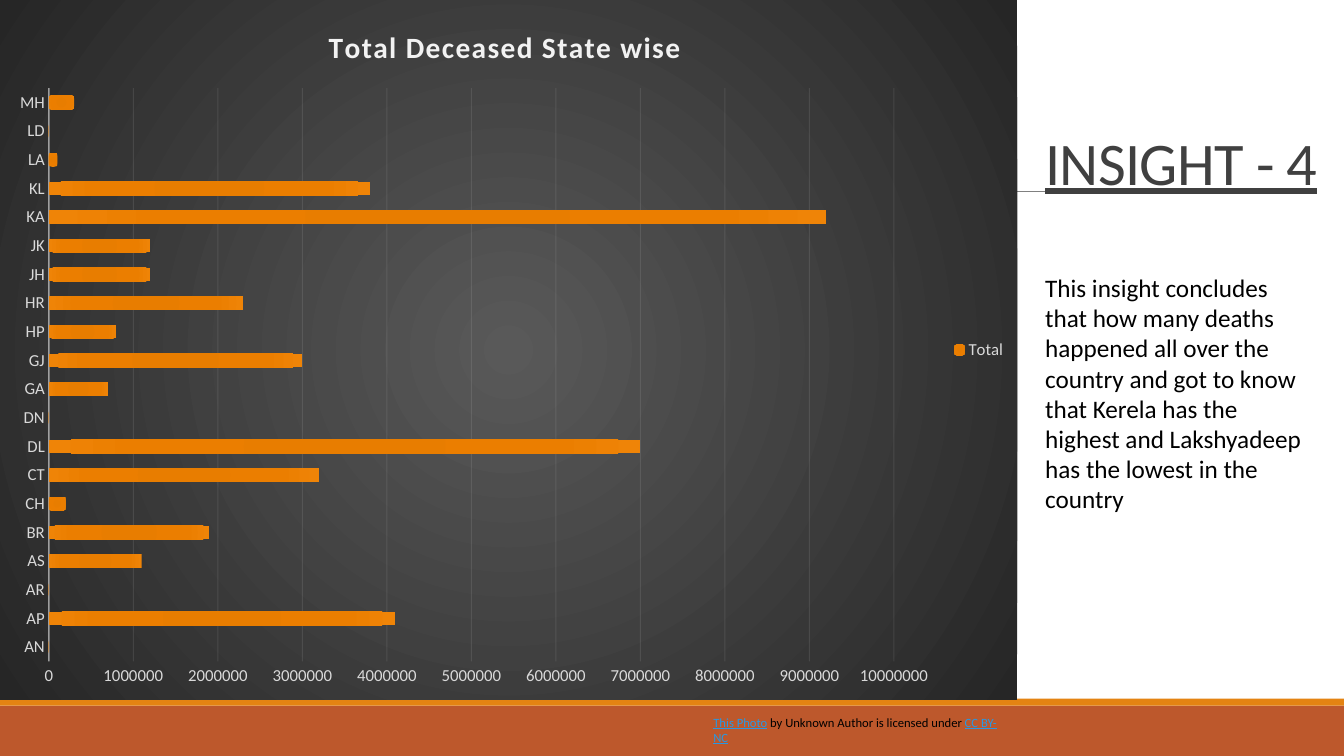
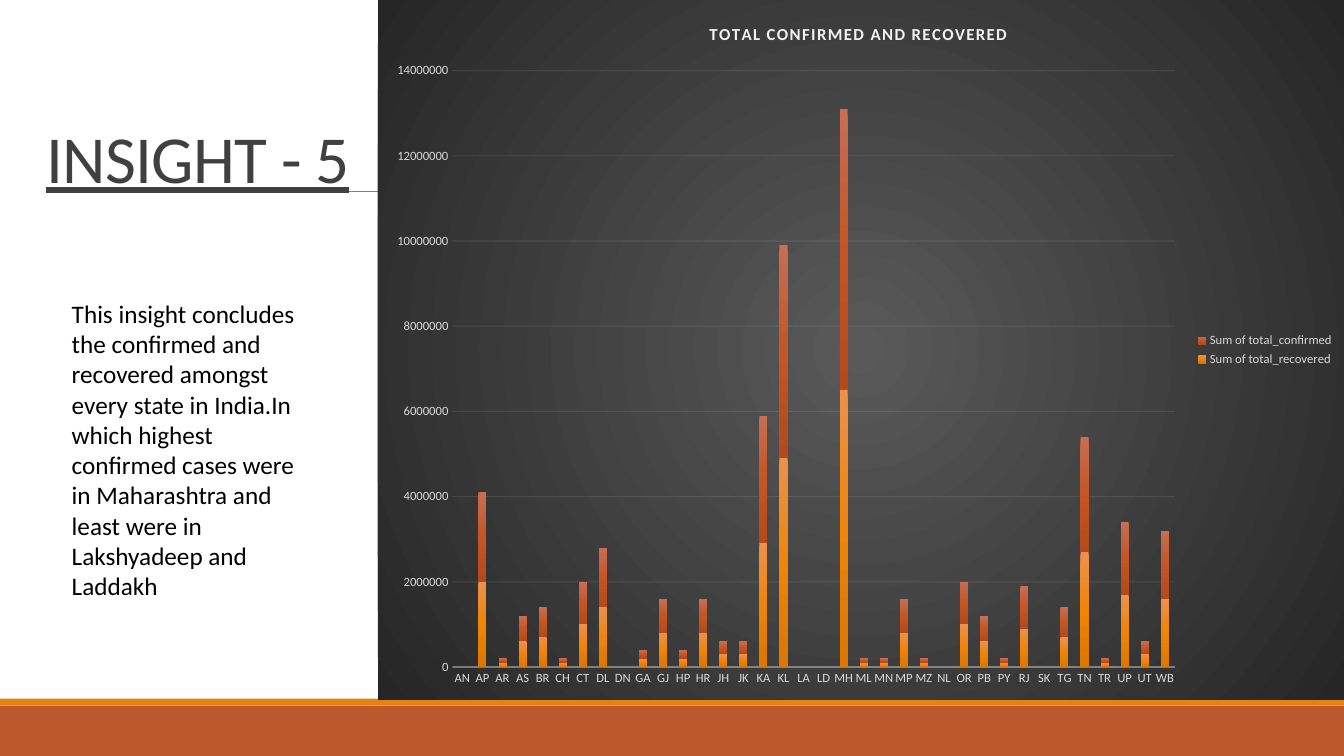
from dataclasses import dataclass

from lxml import etree
from pptx import Presentation
from pptx.chart.data import CategoryChartData
from pptx.dml.color import RGBColor
from pptx.enum.chart import XL_CHART_TYPE, XL_LEGEND_POSITION, XL_TICK_MARK
from pptx.enum.shapes import MSO_CONNECTOR, MSO_SHAPE
from pptx.enum.text import MSO_ANCHOR, MSO_AUTO_SIZE, PP_ALIGN
from pptx.oxml import parse_xml
from pptx.oxml.ns import nsdecls, qn
from pptx.util import Pt

BAR, STACK = XL_CHART_TYPE.BAR_CLUSTERED, XL_CHART_TYPE.COLUMN_STACKED
RIGHT, NO_TICK = XL_LEGEND_POSITION.RIGHT, XL_TICK_MARK.NONE
RECT, LINE = MSO_SHAPE.RECTANGLE, MSO_CONNECTOR.STRAIGHT
LOW, LEFT, NO_FIT = MSO_ANCHOR.BOTTOM, PP_ALIGN.LEFT, MSO_AUTO_SIZE.NONE


@dataclass(frozen=True)
class Theme:
    """Colours, font and type sizes of the deck."""
    font: str = "Calibri"
    rust: str = "BD582C"
    amber: str = "E48312"
    rule: str = "808080"
    head: str = "404040"
    ink: str = "000000"
    link: str = "2998E3"
    pale: str = "F2F2F2"
    label: str = "D9D9D9"
    body: float = 18
    note: float = 9
    base: float = 10
    dark: tuple = ((0, "595959"), (100, "262626"))
    glow: tuple = ((0, "E57B00"), (34, "E87D00"), (70, "EB7E00"), (100, "EF8407"))
    gold: tuple = ((0, "ED914C"), (50, "EF8407"), (100, "DB7600"))
    brick: tuple = ((0, "C76E53"), (50, "C45525"), (100, "B5491A"))


T = Theme()
WIDE, HIGH = 960, 540
BANDS = [(504, 36, T.rust), (499, 5, T.amber)]
RULE = (94.5, 136.8, 879, 136.8)
UNIT = 100000
STATES = ("AN AP AR AS BR CH CT DL DN GA GJ HP HR JH JK KA KL LA LD MH ML MN "
          "MP MZ NL OR PB PY RJ SK TG TN TR UP UT WB").split()

SLIDES = [
    {
        "title": ("INSIGHT - 4", 43.2, (739.5, 86.2, 211.5, 58.5)),
        "texts": [
            ((739.5, 190.8, 198, 181), T.body, [
                ("This insight concludes that how many deaths happened all over "
                 "the country and got to know that Kerela has the highest and "
                 "Lakshyadeep has the lowest in the country", T.ink)]),
            ((502.5, 507, 224, 29), T.note, [
                ("This Photo", T.link),
                (" by Unknown Author is licensed under ", T.ink),
                ("CC BY-NC", T.link)]),
        ],
        "chart": {
            "kind": BAR, "box": (0, 0, 726.5, 500), "gap": 115, "lap": -20,
            "head": ("Total Deceased State wise", 21, (31.8, 3)),
            "plot": (4.8, 12.6, 83.1, 81.9), "size": 12,
            "top": 10000000, "step": 1000000, "cats": STATES[:20],
            "rows": [("Total", T.glow, 100, [
                0, 41, 0, 11, 19, 2, 32, 70, 0, 7, 30, 8, 23, 12, 12, 92, 38,
                1, 0, 3])],
        },
    },
    {
        "title": ("INSIGHT - 5", 48, (26, 66.4, 244, 78)),
        "texts": [
            ((44.2, 209.5, 183, 225), T.body, [
                ("This insight concludes the confirmed and recovered amongst "
                 "every state in India.In which highest confirmed cases were in "
                 "Maharashtra and least were in Lakshyadeep and Laddakh", T.ink)]),
        ],
        "chart": {
            "kind": STACK, "box": (270, 0, 690, 500), "gap": 150, "lap": 100,
            "head": ("TOTAL CONFIRMED AND RECOVERED", 12, (34, 2.8)),
            "plot": (7.7, 10.1, 74.8, 85.2), "size": 9,
            "top": 14000000, "step": 2000000, "cats": STATES,
            "rows": [
                ("Sum of total_recovered", T.gold, None, [
                    0, 20, 1, 6, 7, 1, 10, 14, 0, 2, 8, 2, 8, 3, 3, 29, 49, 0,
                    0, 65, 1, 1, 8, 1, 0, 10, 6, 1, 9, 0, 7, 27, 1, 17, 3, 16]),
                ("Sum of total_confirmed", T.brick, None, [
                    0, 21, 1, 6, 7, 1, 10, 14, 0, 2, 8, 2, 8, 3, 3, 30, 50, 0,
                    0, 66, 1, 1, 8, 1, 0, 10, 6, 1, 10, 0, 7, 27, 1, 17, 3, 16]),
            ],
        },
    },
]


def rgb(code):
    """Turn a hex code into a colour."""
    return RGBColor.from_string(code)


def style(font, size, code):
    """Set the face, size and colour of a font."""
    font.name, font.size = T.font, Pt(size)
    font.color.rgb = rgb(code)


def pts(box):
    """Turn a box of points into lengths."""
    return [Pt(v) for v in box]


def track(root, path, gap):
    """Set letter spacing, in hundredths of a point."""
    for node in root.xpath(path):
        node.set("spc", str(gap))


def fade(root, path, part):
    """Set the opacity of colours, in percent."""
    for node in root.xpath(path):
        etree.SubElement(node, qn("a:alpha")).set("val", str(part * 1000))


def blend(stops, focus=None):
    """Build a gradient: round about a focus, or straight down."""
    marks = "".join(f'<a:gs pos="{at * 1000}"><a:srgbClr val="{code}"/></a:gs>'
                    for at, code in stops)
    way = '<a:lin ang="5400000" scaled="0"/>'
    if focus is not None:
        sides = " ".join(f'{side}="{focus * 1000}"' for side in "ltrb")
        way = f'<a:path path="circle"><a:fillToRect {sides}/></a:path>'
    return parse_xml(f'<a:gradFill {nsdecls("a")} rotWithShape="1">'
                     f'<a:gsLst>{marks}</a:gsLst>{way}</a:gradFill>')


def settle(node, index, spot, inner=False):
    """Give a chart part a fixed place, in percent of the chart."""
    for old in node.findall(qn("c:layout")):
        node.remove(old)
    lay = parse_xml(f'<c:layout {nsdecls("c")}><c:manualLayout/></c:layout>')
    rules = [("layoutTarget", "inner")] if inner else []
    rules += [("xMode", "edge"), ("yMode", "edge")]
    rules += [(key, f"{v / 100:.3f}") for key, v in zip("xywh", spot)]
    for key, val in rules:
        etree.SubElement(lay[0], qn("c:" + key)).set("val", val)
    node.insert(index, lay)


def add_frame(slide, layout):
    """Draw the shared bands and rule and move them to the layout."""
    parts = []
    for top, tall, code in BANDS:
        band = slide.shapes.add_shape(RECT, *pts((0, top, WIDE, tall)))
        band.shadow.inherit = False
        band.fill.solid()
        band.fill.fore_color.rgb = rgb(code)
        band.line.fill.background()
        parts.append(band)
    rule = slide.shapes.add_connector(LINE, *pts(RULE))
    rule.line.color.rgb = rgb(T.rule)
    rule.line.width = Pt(0.5)
    etree.SubElement(rule.element.spPr, qn("a:effectLst"))
    for num, part in enumerate(parts + [rule], 101):
        part.element.xpath(".//p:cNvPr")[0].set("id", str(num))
        layout.element.cSld.spTree.append(part.element)


def add_title(slide, text, size, box):
    """Fill and place the title."""
    title = slide.shapes.title
    title.left, title.top, title.width, title.height = pts(box)
    frame = title.text_frame
    frame.auto_size, frame.vertical_anchor = NO_FIT, LOW
    para = frame.paragraphs[0]
    para.alignment, para.line_spacing = LEFT, 0.85
    run = para.add_run()
    run.text = text
    style(run.font, size, T.head)
    run.font.underline = True
    track(title.element, ".//a:rPr", -50)


def add_text(slide, box, size, runs):
    """Add a wrapped text, with links underlined."""
    frame = slide.shapes.add_textbox(*pts(box)).text_frame
    frame.word_wrap = True
    para = frame.paragraphs[0]
    for text, code in runs:
        run = para.add_run()
        run.text = text
        style(run.font, size, code)
        run.font.underline = code == T.link


def add_graph(slide, info):
    """Add a chart on a dark ground."""
    data = CategoryChartData()
    data.categories = info["cats"]
    for name, _, _, vals in info["rows"]:
        data.add_series(name, [v * UNIT for v in vals])
    chart = slide.shapes.add_chart(info["kind"], *pts(info["box"]), data).chart
    root = chart.element
    style(chart.font, T.base, T.ink)

    plot = chart.plots[0]
    plot.gap_width, plot.overlap = info["gap"], info["lap"]
    plot.vary_by_categories = False
    for node, row in zip(root.iter(qn("c:ser")), info["rows"]):
        node.get_or_add_spPr().append(blend(row[1], row[2]))
    ground = parse_xml(f'<c:spPr {nsdecls("c", "a")}><a:ln><a:noFill/></a:ln></c:spPr>')
    ground.insert(0, blend(T.dark, 50))
    root.find(qn("c:chart")).addnext(ground)

    cat, val = chart.category_axis, chart.value_axis
    for axis in (cat, val):
        axis.major_tick_mark = axis.minor_tick_mark = NO_TICK
        style(axis.tick_labels.font, info["size"], T.label)
    val.minimum_scale, val.maximum_scale = 0, info["top"]
    val.major_unit = info["step"]
    val.has_major_gridlines = True
    val.format.line.fill.background()
    for line, width in ((cat.format.line, 1), (val.major_gridlines.format.line, 0.75)):
        line.color.rgb = rgb(T.pale)
        line.width = Pt(width)
    fade(root, ".//c:catAx/c:spPr//a:srgbClr", 54)
    fade(root, ".//c:majorGridlines//a:srgbClr", 10)

    chart.has_legend = True
    chart.legend.position = RIGHT
    chart.legend.include_in_layout = False
    style(chart.legend.font, info["size"], T.label)

    text, size, spot = info["head"]
    run = chart.chart_title.text_frame.paragraphs[0].add_run()
    run.text = text
    style(run.font, size, T.pale)
    run.font.bold = True
    track(root, ".//c:title//a:rPr", 100)
    settle(root.xpath(".//c:title")[0], 1, spot)
    settle(root.xpath(".//c:plotArea")[0], 0, info["plot"], True)


def main():
    """Build and save the deck."""
    deck = Presentation()
    deck.slide_width, deck.slide_height = Pt(WIDE), Pt(HIGH)
    layout = deck.slide_layouts[5]
    for num, page in enumerate(SLIDES):
        slide = deck.slides.add_slide(layout)
        if num == 0:
            add_frame(slide, layout)
        add_title(slide, *page["title"])
        add_graph(slide, page["chart"])
        for text in page["texts"]:
            add_text(slide, *text)
    deck.save("out.pptx")


if __name__ == "__main__":
    main()
